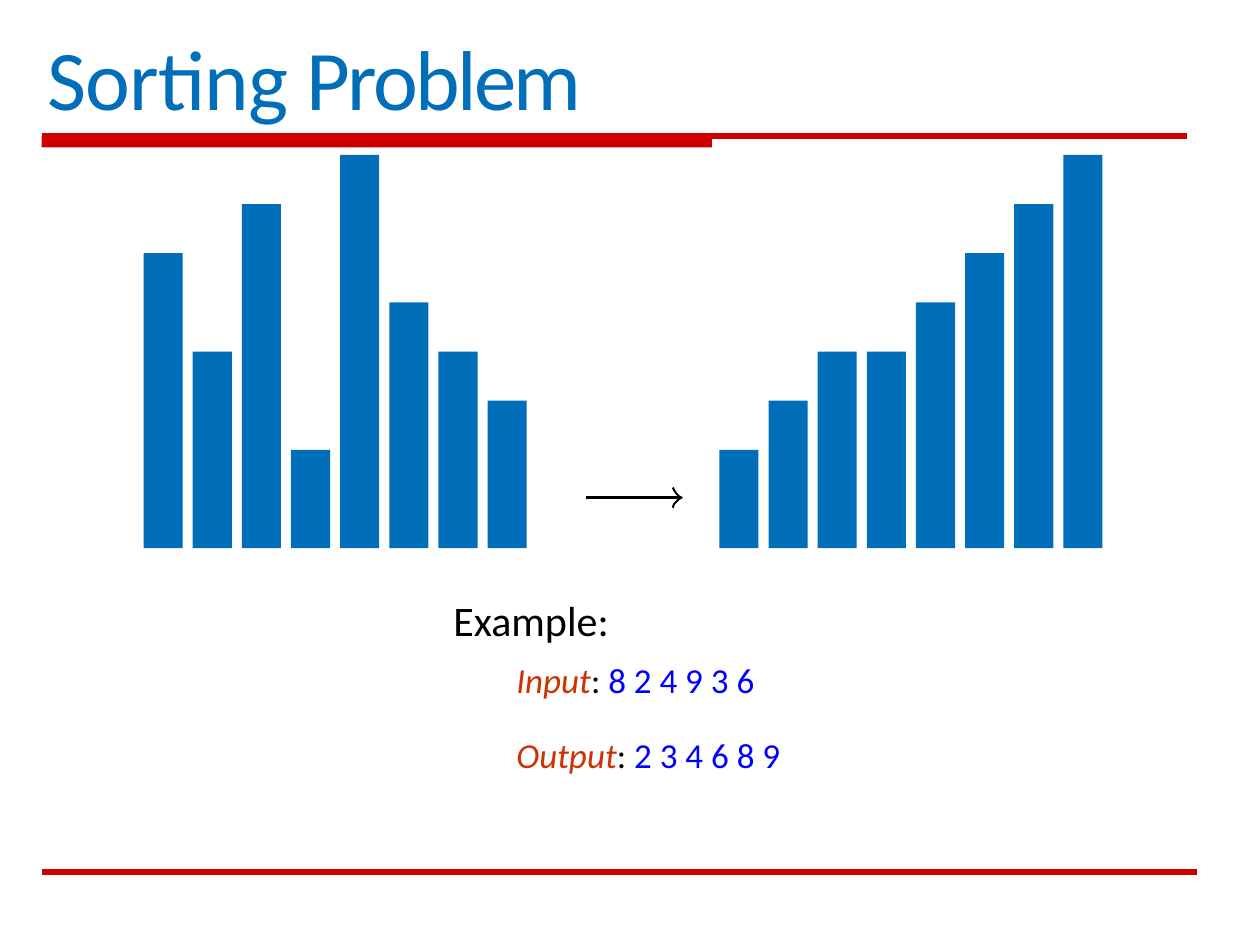
"""Build the sorting problem slide with bars before and after sorting."""
from lxml import etree
from pptx import Presentation
from pptx.dml.color import RGBColor
from pptx.enum.shapes import MSO_CONNECTOR, MSO_SHAPE
from pptx.enum.text import MSO_ANCHOR, MSO_AUTO_SIZE, PP_ALIGN
from pptx.oxml.ns import qn
from pptx.util import Inches, Pt

STRAIGHT = MSO_CONNECTOR.STRAIGHT
RECTANGLE = MSO_SHAPE.RECTANGLE
MIDDLE, TOP = MSO_ANCHOR.MIDDLE, MSO_ANCHOR.TOP
LEFT = PP_ALIGN.LEFT
NO_AUTOFIT = MSO_AUTO_SIZE.NONE

FONT = "Calibri"
COLORS = {
    "rule": "CC0000",
    "bar": "006EB8",
    "label": "CC3300",
    "number": "0000FF",
    "text": "000000",
}
UNSORTED = [6, 4, 7, 2, 8, 5, 4, 3]
BAR_WIDTH, BAR_PITCH, BAR_UNIT, BASELINE = 0.31, 0.39, 0.39, 4.35
ARROW_HEAD = [(5.34, 3.87), (5.35, 3.89), (5.37, 3.92), (5.39, 3.94), (5.41, 3.95),
              (5.39, 3.96), (5.37, 3.98), (5.35, 4.0), (5.34, 4.03)]


def rgb(name):
    return RGBColor.from_string(COLORS[name])


def points(pairs):
    return [(Inches(x), Inches(y)) for x, y in pairs]


def fill_shape(sp, color):
    sp.shadow.inherit = False
    sp.fill.solid()
    sp.fill.fore_color.rgb = rgb(color)
    sp.line.fill.background()


def add_line(slide, start, end, color, width):
    (x1, y1), (x2, y2) = points([start, end])
    line = slide.shapes.add_connector(STRAIGHT, x1, y1, x2, y2)
    line.line.color.rgb = rgb(color)
    line.line.width = Pt(width)
    sp_pr = line._element.find(qn("p:spPr"))
    etree.SubElement(sp_pr, qn("a:effectLst"))


def add_header_rule(slide):
    band = slide.shapes.add_shape(
        RECTANGLE, Inches(0.33), Inches(1.08), Inches(5.32), Inches(0.09))
    fill_shape(band, "rule")
    add_line(slide, (0.33, 1.08), (9.42, 1.08), "rule", 3)


def add_bars(slide, left, values):
    builder = None
    for i, value in enumerate(values):
        x, y = left + i * BAR_PITCH, BASELINE - value * BAR_UNIT
        start, *rest = points([(x, y), (x, BASELINE),
                               (x + BAR_WIDTH, BASELINE), (x + BAR_WIDTH, y)])
        if builder is None:
            builder = slide.shapes.build_freeform(*start)
        else:
            builder.move_to(*start)
        builder.add_line_segments(rest, close=True)
    fill_shape(builder.convert_to_shape(), "bar")


def add_arrow(slide):
    add_line(slide, (4.65, 3.95), (5.4, 3.95), "text", 1.42)
    start, *rest = points(ARROW_HEAD)
    builder = slide.shapes.build_freeform(*start)
    builder.add_line_segments(rest, close=False)
    head = builder.convert_to_shape()
    head.shadow.inherit = False
    head.fill.background()
    head.line.color.rgb = rgb("text")
    head.line.width = Pt(1.13)


def add_run(p, text, size, color, italic=False, spacing=None):
    r = p.add_run()
    r.text = text
    r.font.name = FONT
    r.font.size = Pt(size)
    r.font.italic = italic
    r.font.color.rgb = rgb(color)
    if spacing is not None:
        r.font._element.set("spc", str(round(spacing * 100)))


def format_paragraph(p, before, margin=0, indent=0):
    p.alignment = LEFT
    p.space_before = Pt(before)
    p_pr = p._p.get_or_add_pPr()
    p_pr.set("marL", str(Inches(margin)))
    p_pr.set("indent", str(Inches(indent)))


def set_title(slide):
    title = slide.shapes.title
    title.left, title.top = Inches(0.35), Inches(0.17)
    title.width, title.height = Inches(9.06), Inches(0.85)
    tf = title.text_frame
    tf.auto_size = NO_AUTOFIT
    tf.vertical_anchor = MIDDLE
    tf.margin_left = tf.margin_right = tf.margin_bottom = 0
    tf.margin_top = Inches(0.03)
    p = tf.paragraphs[0]
    format_paragraph(p, 2.5, 0.03)
    add_run(p, "Sorting ", 48.5, "bar", spacing=-0.5)
    add_run(p, "Problem", 48.5, "bar", spacing=-1.5)


def add_example(slide):
    box = slide.shapes.add_textbox(Inches(3.5), Inches(4.67), Inches(5), Inches(1.6))
    tf = box.text_frame
    tf.word_wrap = True
    tf.vertical_anchor = TOP
    p = tf.paragraphs[0]
    format_paragraph(p, 7.5)
    add_run(p, "Example:", 24, "text")
    for label, numbers, before in [("Input", "8 2 4 9 3 6", 7.5),
                                   ("Output", "2 3 4 6 8 9", 19)]:
        p = tf.add_paragraph()
        p.level = 1
        format_paragraph(p, before, 0.81, -0.31)
        add_run(p, label, 20, "label", italic=True)
        add_run(p, ": ", 20, "text")
        add_run(p, numbers, 20, "number")


def main():
    prs = Presentation()
    prs.slide_width, prs.slide_height = Inches(10), Inches(7.5)
    slide = prs.slides.add_slide(prs.slide_layouts[5])
    add_header_rule(slide)
    add_line(slide, (0.33, 6.92), (9.5, 6.92), "rule", 3)
    set_title(slide)
    add_bars(slide, 1.14, UNSORTED)
    add_arrow(slide)
    add_bars(slide, 5.71, sorted(UNSORTED))
    add_example(slide)
    prs.save("out.pptx")


if __name__ == "__main__":
    main()
